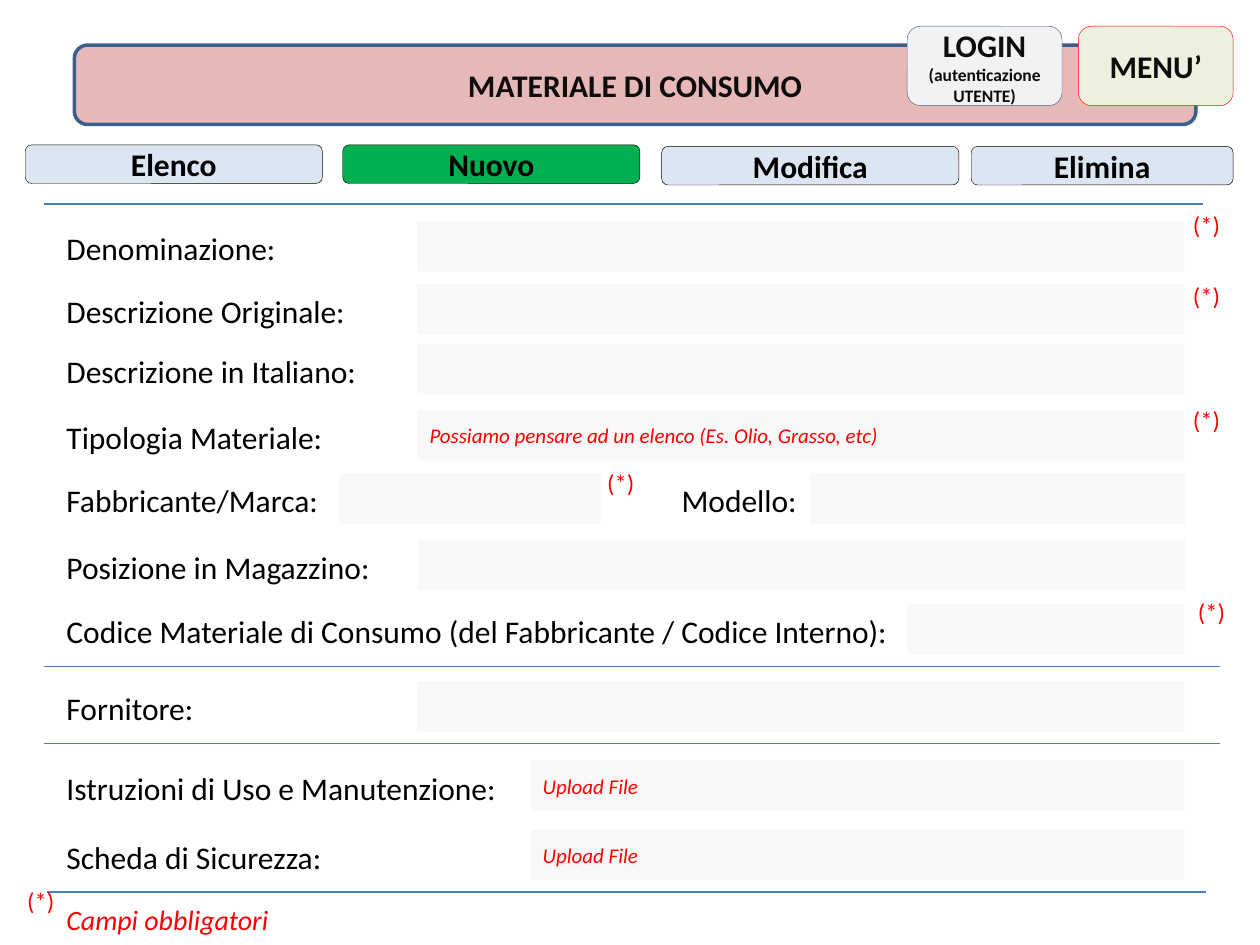
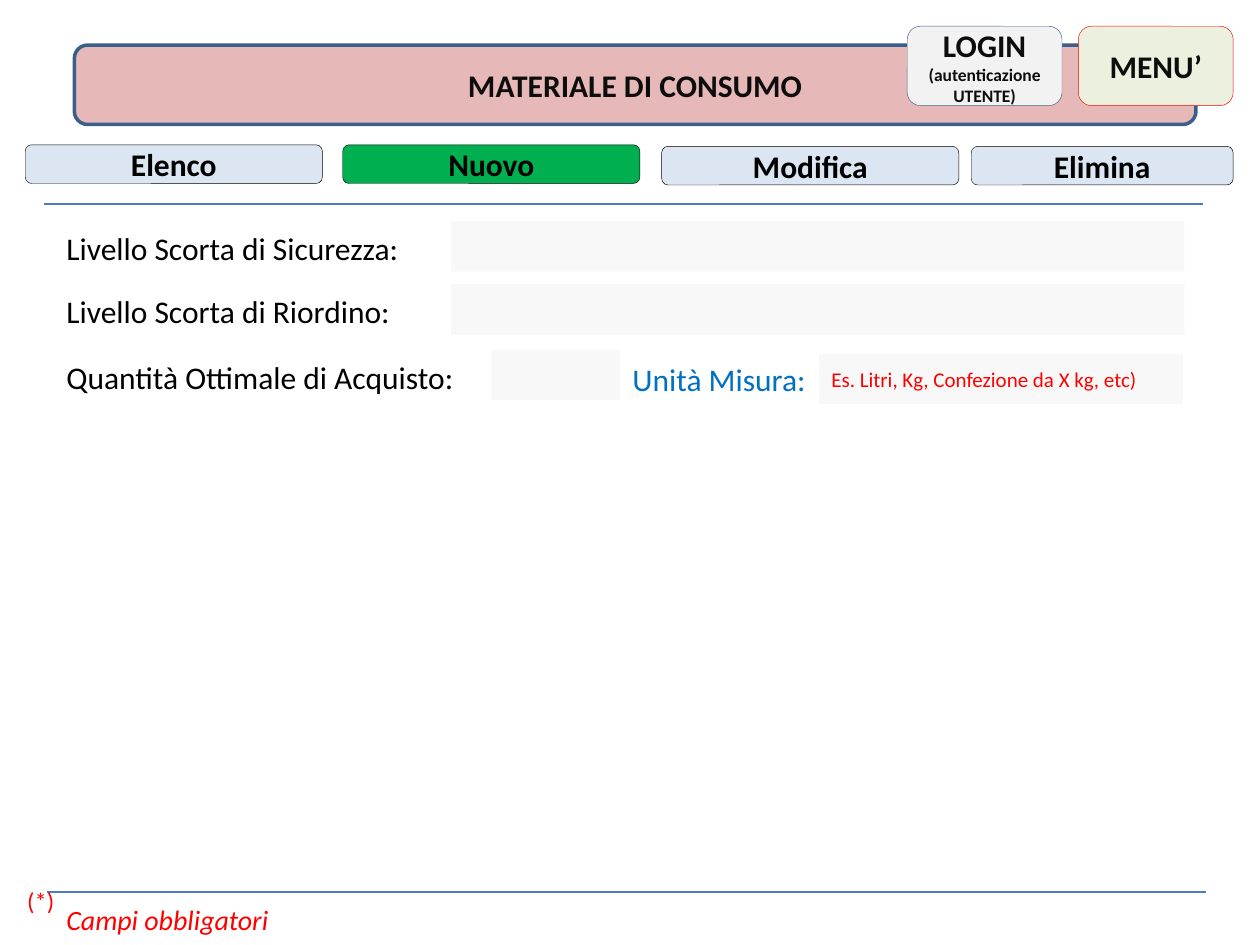
from dataclasses import dataclass

from lxml.etree import SubElement as Sub
from pptx import Presentation
from pptx.dml.color import RGBColor as RGB
from pptx.enum.shapes import MSO_CONNECTOR as Conn, MSO_SHAPE as Shape
from pptx.enum.text import MSO_ANCHOR as Anchor, MSO_AUTO_SIZE as Auto, PP_ALIGN as Align
from pptx.oxml.ns import qn
from pptx.util import Cm, Pt


@dataclass(frozen=True)
class Theme:
    font: str = "Calibri"
    black: str = "000000"
    ink: str = "0D0D0D"
    red: str = "FF0000"
    blue: str = "0070C0"
    edge: str = "3A5F8C"
    rule: str = "4B7EBC"
    title: str = "E6B9B8"
    login: str = "F2F2F2"
    menu: str = "EBF1DE"
    tab: str = "DCE6F2"
    live: str = "00B050"
    field: str = "F8F8F8"
    main: int = 18
    foot: int = 16
    star: int = 14
    hint: int = 12
    note: int = 10


T = Theme()
LEFT = 1.09     # left edge of the labels
COL = 8.41      # left edge of the usual field
RIGHT = 23.88   # right edge of the fields
ROW = 1.02      # height of a form row
STAR = 23.8     # left edge of the usual star


# --- Elements -------------------------------------------------------------
def style(par, size, color, bold=False, italic=False):
    font = par.font
    font.name, font.size = T.font, Pt(size)
    font.bold, font.italic = bold, italic
    font.color.rgb = RGB.from_string(color)


def box(slide, kind, x, y, w, h, fill):
    shape = slide.shapes.add_shape(kind, Cm(x), Cm(y), Cm(w), Cm(h))
    shape.shadow.inherit = False
    shape.fill.solid()
    shape.fill.fore_color.rgb = RGB.from_string(fill)
    shape.line.fill.background()
    shape.text_frame.word_wrap = True
    shape.text_frame.vertical_anchor = Anchor.MIDDLE
    return shape


def button(slide, x, y, w, h, fill, edge, lines, color=T.ink, width=0.25):
    """Rounded button; lines holds (text, size) pairs."""
    shape = box(slide, Shape.ROUNDED_RECTANGLE, x, y, w, h, fill)
    shape.line.color.rgb = RGB.from_string(edge)
    shape.line.width = Pt(width)
    frame = shape.text_frame
    frame.text = "\n".join(text for text, _ in lines)
    for par, (_, size) in zip(frame.paragraphs, lines):
        par.alignment = Align.CENTER
        style(par, size, color, bold=True)


def label(slide, text, x, y, w=10.6, h=ROW, size=T.main, color=T.black, italic=False):
    frame = slide.shapes.add_textbox(Cm(x), Cm(y), Cm(w), Cm(h)).text_frame
    frame.word_wrap = True
    frame.auto_size = Auto.SHAPE_TO_FIT_TEXT
    frame.text = text
    style(frame.paragraphs[0], size, color, italic=italic)


def star(slide, x, y):
    label(slide, "(*)", x, y, 1.3, 0.86, T.star, T.red)


def field(slide, y, x=COL, right=RIGHT, hint="", italic=True):
    shape = box(slide, Shape.RECTANGLE, x, y, right - x, ROW, T.field)
    if hint:
        par = shape.text_frame.paragraphs[0]
        par.text = hint
        par.alignment = Align.LEFT
        style(par, T.hint, T.red, italic=italic)


def row(slide, text, y, x=COL, right=RIGHT, hint="", wide=10.6):
    """A label and its field, which sits slightly higher."""
    label(slide, text, LEFT, y, wide)
    field(slide, y - 0.04, x, right, hint)


def rule(slide, y, x=0.89, end=24.59):
    line = slide.shapes.add_connector(Conn.STRAIGHT, Cm(x), Cm(y), Cm(end), Cm(y))
    line.line.color.rgb = RGB.from_string(T.rule)
    line.line.width = Pt(0.75)
    Sub(line._element.spPr, qn("a:effectLst"))


# --- Shared frame: title, tabs, footer ------------------------------------
def frame(deck):
    slide = deck.slides.add_slide(deck.slide_layouts[6])
    high = 1.6
    button(slide, 1.5, 0.91, 22.61, high, T.title, T.edge,
           [("MATERIALE DI CONSUMO", T.main)], width=2)
    button(slide, 18.29, 0.53, 3.12, high, T.login, T.edge,
           [("LOGIN", T.main), ("(autenticazione UTENTE)", T.note)])
    button(slide, 21.74, 0.53, 3.12, high, T.menu, T.red, [("MENU’", T.main)])

    tabs = [("Elenco", 0.51, 2.92, 5.99, T.tab), ("Nuovo", 6.91, 2.92, 5.99, T.live),
            ("Modifica", 13.34, 2.95, 5.99, T.tab), ("Elimina", 19.58, 2.95, 5.28, T.tab)]
    for text, x, y, w, fill in tabs:
        button(slide, x, y, w, 0.78, fill, T.black, [(text, T.main)], T.black)

    rule(slide, 4.11, end=24.26)
    rule(slide, 17.98, 0.94, 24.31)
    star(slide, 0.3, 17.73)
    label(slide, "Campi obbligatori", LEFT, 18.06, h=0.94,
          size=T.foot, color=T.red, italic=True)
    return slide


# --- Slide 1: item data ---------------------------------------------------
def item(deck):
    slide = frame(deck)
    row(slide, "Denominazione:", 4.5)
    row(slide, "Descrizione Originale:", 5.77)
    row(slide, "Descrizione in Italiano:", 6.97)
    row(slide, "Tipologia Materiale:", 8.31,
        hint="Possiamo pensare ad un elenco (Es. Olio, Grasso, etc)")
    row(slide, "Fabbricante/Marca:", 9.58, 6.83, 12.11)
    label(slide, "Modello:", 13.49, 9.58)
    field(slide, 9.54, 16.33, 23.9)
    row(slide, "Posizione in Magazzino:", 10.92, 8.43, 23.9)
    row(slide, "Codice Materiale di Consumo (del Fabbricante / Codice Interno):",
        12.22, 18.29, wide=17.8)
    rule(slide, 13.44)
    row(slide, "Fornitore:", 13.77)
    rule(slide, 14.99)

    # Uploads
    for text, y in [("Istruzioni di Uso e Manutenzione:", 15.37),
                    ("Scheda di Sicurezza:", 16.76)]:
        row(slide, text, y, 10.69, hint="Upload File")

    # Marks of the required fields
    for x, y in [(STAR, 4.11), (STAR, 5.54), (STAR, 8.05), (11.99, 9.32), (23.9, 11.91)]:
        star(slide, x, y)


# --- Slide 2: stock levels ------------------------------------------------
def stock(deck):
    slide = frame(deck)
    row(slide, "Livello Scorta di Sicurezza:", 4.5, 9.09)
    row(slide, "Livello Scorta di Riordino:", 5.77, 9.09)
    row(slide, "Quantità Ottimale di Acquisto:", 7.09, 9.91, 12.5)
    label(slide, "Unità Misura:", 12.5, 7.14, color=T.blue)
    field(slide, 7.13, 16.51, 23.85, "Es. Litri, Kg, Confezione da X kg, etc)", italic=False)


def main():
    deck = Presentation()
    deck.slide_width, deck.slide_height = Cm(25.4), Cm(19.05)
    item(deck)
    stock(deck)
    deck.save("out.pptx")


main()
